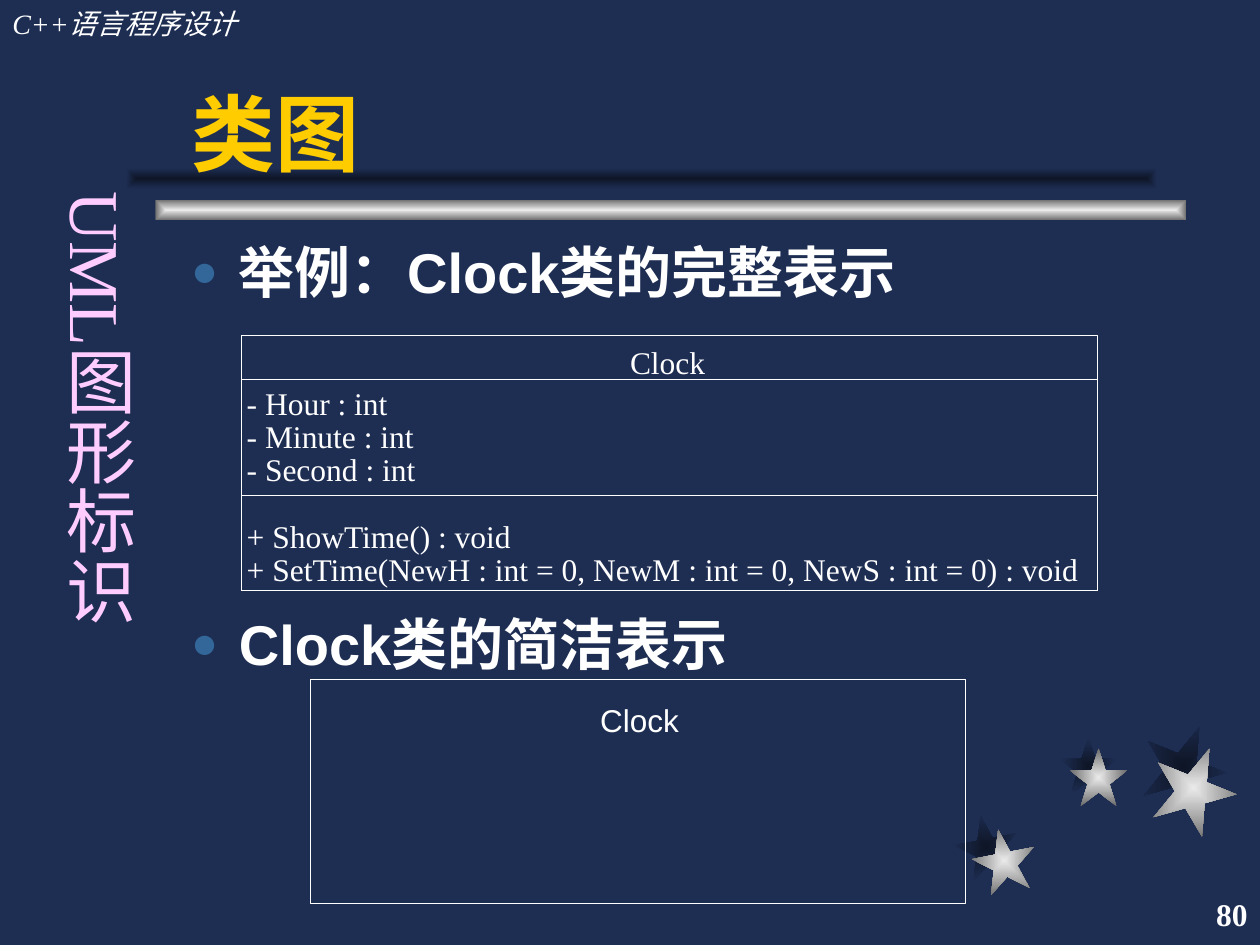
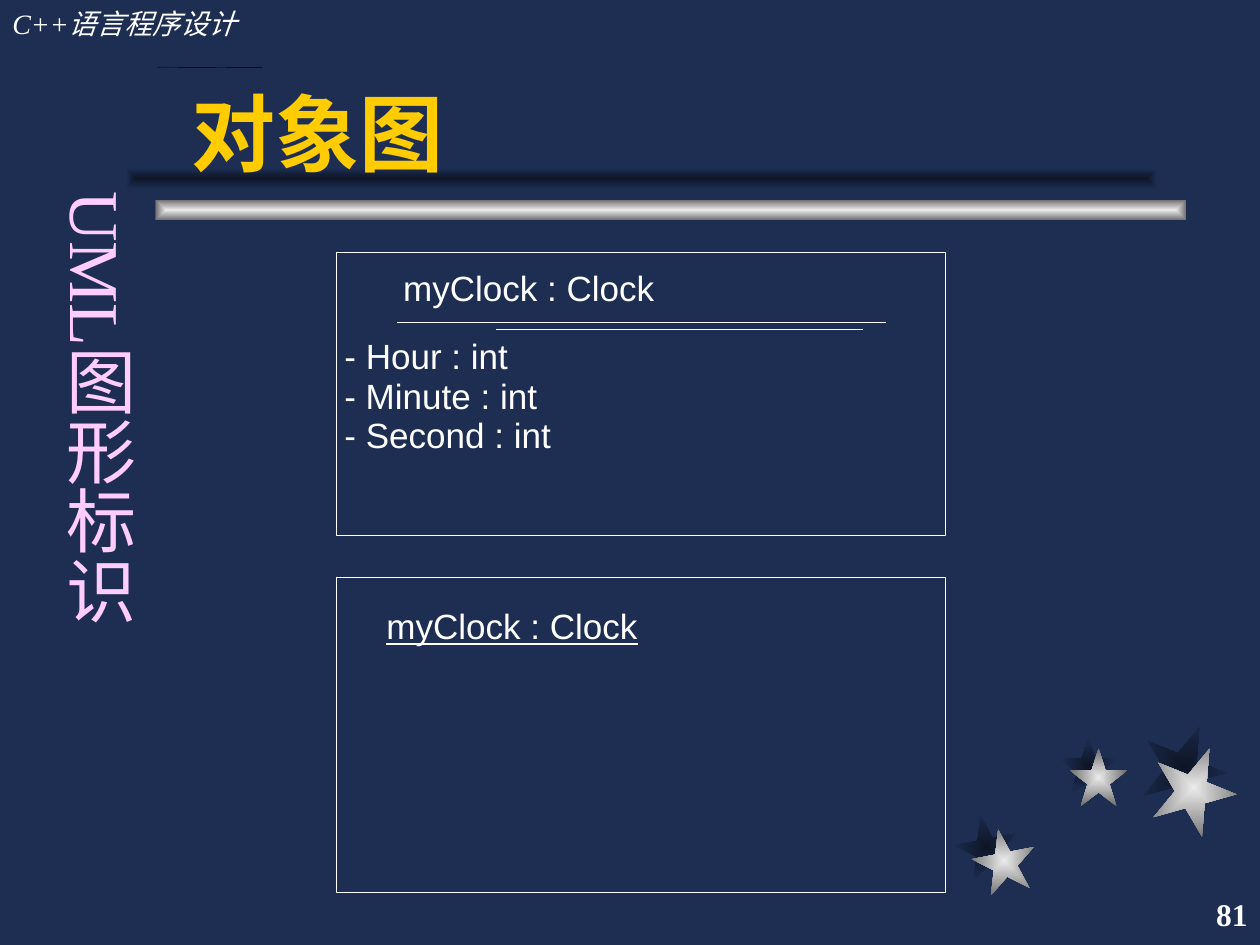
from pptx import Presentation
from pptx.dml.color import RGBColor
from pptx.enum.shapes import MSO_CONNECTOR, MSO_SHAPE
from pptx.enum.text import MSO_ANCHOR, MSO_AUTO_SIZE, PP_ALIGN
from pptx.oxml import parse_xml
from pptx.oxml.ns import nsdecls, qn
from pptx.util import Inches, Pt
from lxml.etree import SubElement

NAVY = RGBColor(0x1E, 0x2E, 0x53)
NIGHT = RGBColor(0x0E, 0x15, 0x26)
SILVER = RGBColor(0xEA, 0xEA, 0xEA)
GREY = RGBColor(0x6C, 0x6C, 0x6C)
WHITE = RGBColor(0xFF, 0xFF, 0xFF)
BLACK = RGBColor(0, 0, 0)
GOLD = RGBColor(0xFF, 0xCC, 0x00)
PINK = RGBColor(0xFF, 0xCC, 0xFF)
BLUE = RGBColor(0x33, 0x66, 0x99)
SANS, SERIF = "Arial", "Times New Roman"

COLS, ROWS = 120, 90
CELL = Inches(10) / COLS
THIN = Pt(0.25)

STAR = [(0.5, 0), (0.62, 0.38), (1, 0.38), (0.69, 0.62), (0.81, 1),
        (0.5, 0.76), (0.19, 1), (0.31, 0.62), (0, 0.38), (0.38, 0.38)]
STARS = [(92.64, 78.96, 6, 349), (101.88, 71.28, 5.5, 0), (109.68, 71.04, 8, 22)]
SHADES = [(90.96, 77.64, 6, 349), (100.92, 70.2, 5.5, 0), (108.72, 69, 8, 22)]
FIELDS = ["- Hour : int", "- Minute : int", "- Second : int"]


def grid(*cells):
    return [round(cell * CELL) for cell in cells]


def style(frame, font, size, color, bold=None, slant=None, under=None):
    for para in frame.paragraphs:
        for run in para.runs:
            face = run.font
            face.name, face.size, face.color.rgb = font, Pt(size), color
            face.bold, face.italic, face.underline = bold, slant, under


def label(slide, box, text, font, size, color=WHITE, pad=0, wrap=True,
          align=PP_ALIGN.LEFT, **looks):
    shape = slide.shapes.add_textbox(*grid(*box))
    frame = shape.text_frame
    frame.word_wrap = wrap
    frame.margin_left = frame.margin_right = Inches(pad)
    frame.margin_top = frame.margin_bottom = Inches(pad / 2)
    frame.text = text
    frame.paragraphs[0].alignment = align
    style(frame, font, size, color, **looks)
    return shape


def frame_box(slide, box):
    shape = slide.shapes.add_shape(MSO_SHAPE.RECTANGLE, *grid(*box))
    shape.shadow.inherit = False
    shape.fill.background()
    shape.line.color.rgb = WHITE
    shape.line.width = THIN


def rule(slide, start, end, color):
    line = slide.shapes.add_connector(MSO_CONNECTOR.STRAIGHT, *grid(*start, *end))
    line.line.color.rgb = color
    line.line.width = THIN
    SubElement(line.element.spPr, qn("a:effectLst"))


def glow(shape, core, edge):
    shape.shadow.inherit = False
    shape.line.fill.background()
    shape.element.spPr.insert(2, parse_xml(
        f'<a:gradFill {nsdecls("a")} rotWithShape="0"><a:gsLst>'
        f'<a:gs pos="0"><a:srgbClr val="{core}"/></a:gs>'
        f'<a:gs pos="100000"><a:srgbClr val="{edge}"/></a:gs></a:gsLst>'
        '<a:path path="rect"><a:fillToRect l="50000" t="50000" r="50000" b="50000"/>'
        '</a:path></a:gradFill>'))


def star(slide, left, top, size, turn, core, edge):
    points = [grid(left + x * size, top + y * size) for x, y in STAR]
    pen = slide.shapes.build_freeform(*points[0])
    pen.add_line_segments(points[1:], close=True)
    shape = pen.convert_to_shape()
    shape.rotation = turn
    glow(shape, core, edge)


def band(slide, left, top, core, edge):
    shape = slide.shapes.add_shape(MSO_SHAPE.RECTANGLE, *grid(left, top, 98.2, 2))
    glow(shape, core, edge)


def master_art(deck, slide):
    master = deck.slide_master
    master.background.fill.solid()
    master.background.fill.fore_color.rgb = NAVY
    old = set(shape.shape_id for shape in slide.placeholders)
    for place in SHADES:
        star(slide, *place, NIGHT, NAVY)
    for place in STARS:
        star(slide, *place, SILVER, GREY)
    band(slide, 14.8, 19, SILVER, GREY)
    band(slide, 12, 16, NIGHT, NAVY)
    label(slide, (0, 0, 37, 4.4), "C++语言程序设计", SERIF, 16, pad=0.1, slant=True)
    art = [shape for shape in slide.shapes if shape.shape_id not in old]
    for index, shape in enumerate(art):
        shape.element.nvSpPr.cNvPr.set("id", str(20 + index))
        master.shapes.element.append(shape.element)


def place(holder, box, anchor):
    holder.left, holder.top, holder.width, holder.height = grid(*box)
    holder.text_frame.auto_size = MSO_AUTO_SIZE.NONE
    holder.text_frame.vertical_anchor = anchor


def heading(slide, text, page):
    title = slide.shapes.title
    place(title, (17, 3, 94, 15), MSO_ANCHOR.BOTTOM)
    title.text_frame.text = text
    title.text_frame.paragraphs[0].alignment = PP_ALIGN.LEFT
    style(title.text_frame, SANS, 48, GOLD, bold=True)
    number = label(slide, (95, 84, 25, 6), page, SERIF, 18, pad=0.1,
                   align=PP_ALIGN.RIGHT, bold=True)
    number.text_frame.vertical_anchor = MSO_ANCHOR.MIDDLE


def side(slide):
    shape = label(slide, (3.7, 17, 10.3, 62), "UML图形标识", SERIF, 40, PINK,
                  align=PP_ALIGN.CENTER)
    frame = shape.text_frame
    frame.margin_left = frame.margin_right = Inches(0.05)
    frame.margin_top = frame.margin_bottom = Inches(0.1)
    shape.element.txBody.bodyPr.set("vert", "eaVert")


def bullets(slide, items):
    body = slide.placeholders[1]
    place(body, (17, 22, 95, 57), MSO_ANCHOR.TOP)
    frame = body.text_frame
    frame.text = "\n".join(text for text, gap in items)
    for para, (text, gap) in zip(frame.paragraphs, items):
        para.space_before = Pt(gap)
        props = para._p.get_or_add_pPr()
        props.set("marL", str(Inches(0.38)))
        props.set("indent", str(-Inches(0.38)))
        tint = SubElement(props, qn("a:buClr"))
        SubElement(tint, qn("a:srgbClr")).set("val", str(BLUE))
        SubElement(props, qn("a:buSzPct")).set("val", "80000")
        SubElement(props, qn("a:buChar")).set("char", "●")
    style(frame, SANS, 32, WHITE, bold=True)


def lines(slide, left, top, step, rows, font, size):
    for slot, text, width in rows:
        label(slide, (left, top + slot * step, width, step * 1.1), text, font, size,
              wrap=False)


def full_class(slide, box):
    left, top, width, height = box
    for drop in (0, 4.2, 15.24):
        frame_box(slide, (left, top + drop, width, height - drop))
    label(slide, (left + 37, top + 0.7, 7.8, 3.6), "Clock", SERIF, 18, wrap=False)
    rows = list(zip(range(3), FIELDS, (14.5, 17, 17)))
    rows += [(4, "+ ShowTime() : void", 26),
             (5, "+ SetTime(NewH : int = 0, NewM : int = 0, NewS : int = 0) : void", 80)]
    lines(slide, left + 0.5, top + 4.6, 3.17, rows, SERIF, 18)


def brief_class(slide, box):
    left, top, width, height = box
    frame_box(slide, box)
    label(slide, (left + 20.5, top + 2.05, 21.7, 3.6), "Clock", SANS, 18,
          align=PP_ALIGN.CENTER)


def full_object(slide, box):
    left, top, width, height = box
    frame_box(slide, box)
    label(slide, (left + 6.4, top + 1.35, 25, 4), "myClock : Clock", SANS, 20, wrap=False)
    for start, end, drop in ((5.8, 52.4, 6.7), (15.2, 50.2, 7.4)):
        rule(slide, (left + start, top + drop), (left + end, top + drop), WHITE)
    rows = zip(range(3), FIELDS, (16.5, 19.5, 20.5))
    lines(slide, left + 0.8, top + 7.85, 3.78, rows, SANS, 20)


def brief_object(slide, box):
    left, top, width, height = box
    frame_box(slide, box)
    label(slide, (left + 4.8, top + 2.6, 25, 4), "myClock : Clock", SANS, 20,
          wrap=False, under=True)


def class_slide(slide):
    heading(slide, "类图", "80")
    bullets(slide, [("举例：Clock类的完整表示", 4), ("Clock类的简洁表示", 174)])
    full_class(slide, (23, 31.95, 81.55, 24.3))
    brief_class(slide, (29.55, 64.7, 62.4, 21.3))
    side(slide)


def object_slide(slide):
    heading(slide, "对象图", "81")
    full_object(slide, (32, 24, 58, 27))
    brief_object(slide, (32, 55, 58, 30))
    rule(slide, (15, 6.4), (25, 6.45), BLACK)
    side(slide)


def main():
    deck = Presentation()
    deck.slide_width, deck.slide_height = grid(COLS, ROWS)
    first = deck.slides.add_slide(deck.slide_layouts[1])
    master_art(deck, first)
    class_slide(first)
    object_slide(deck.slides.add_slide(deck.slide_layouts[5]))
    deck.save("out.pptx")


if __name__ == "__main__":
    main()
